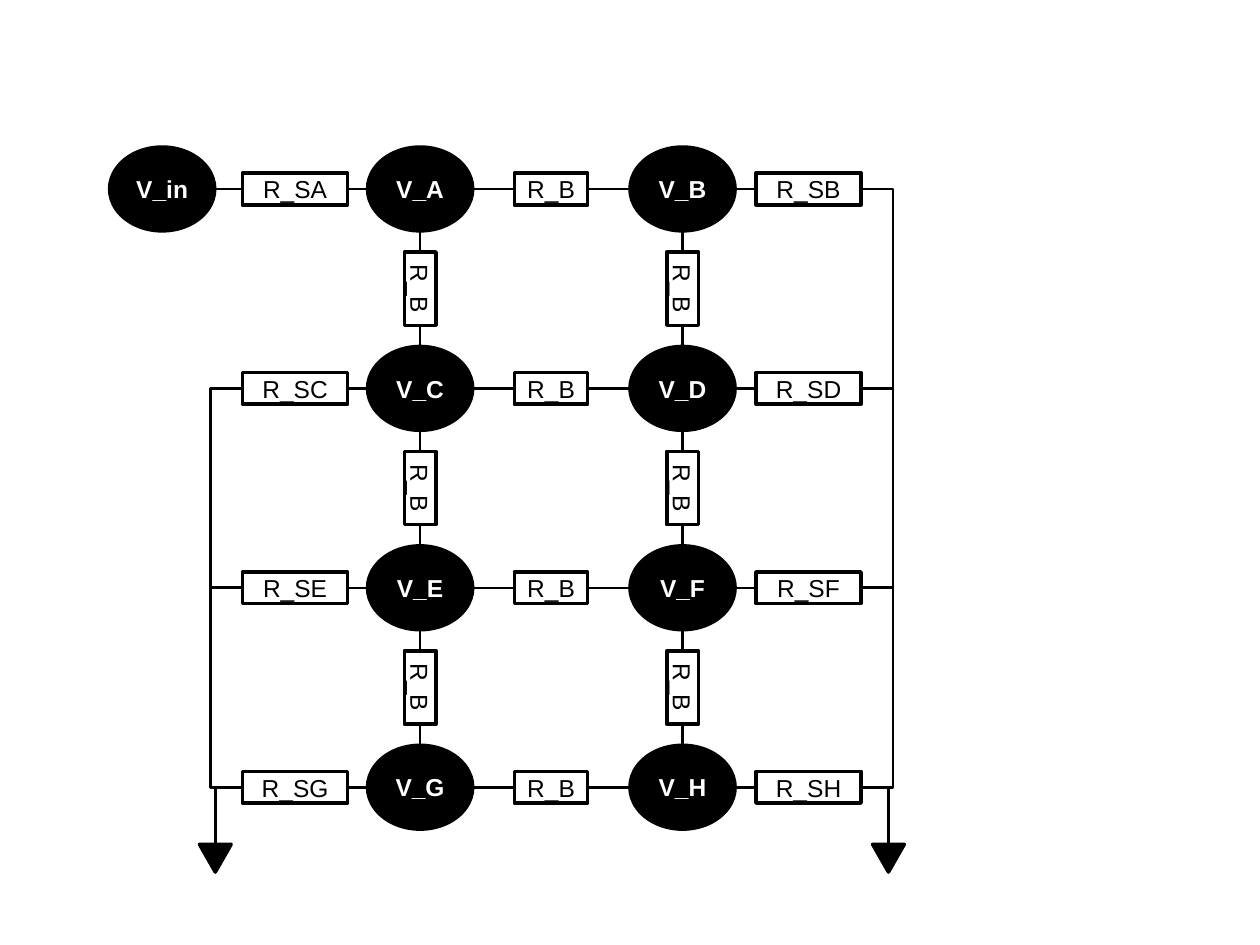
"""Build a slide with a resistor ladder network of eight voltage nodes."""
from itertools import pairwise

from lxml import etree
from pptx import Presentation
from pptx.dml.color import RGBColor
from pptx.enum.shapes import MSO_CONNECTOR, MSO_SHAPE
from pptx.enum.text import MSO_ANCHOR, PP_ALIGN
from pptx.oxml.ns import qn
from pptx.util import Cm, Pt

OVAL, RECTANGLE = MSO_SHAPE.OVAL, MSO_SHAPE.RECTANGLE
TRIANGLE = MSO_SHAPE.ISOSCELES_TRIANGLE
STRAIGHT, ELBOW = MSO_CONNECTOR.STRAIGHT, MSO_CONNECTOR.ELBOW
CENTER, MIDDLE = PP_ALIGN.CENTER, MSO_ANCHOR.MIDDLE
LEFT_SIDE, RIGHT_SIDE = 1, 3

COLORS = {"ink": "000000", "paper": "FFFFFF"}
FONT = "Arial"

SOURCE = "V_in"
BRIDGE = "R_B"
ROWS = [
    ("R_SA", "V_A", BRIDGE, "V_B", "R_SB"),
    ("R_SC", "V_C", BRIDGE, "V_D", "R_SD"),
    ("R_SE", "V_E", BRIDGE, "V_F", "R_SF"),
    ("R_SG", "V_G", BRIDGE, "V_H", "R_SH"),
]

SOURCE_X = 3.27
COLUMNS = (5.95, 8.47, 11.11, 13.76, 16.3)
NODE_COLUMNS = (COLUMNS[1], COLUMNS[3])
FIRST_ROW, ROW_STEP = 3.81, 4.02
ROW_CENTERS = [FIRST_ROW + index * ROW_STEP for index in range(len(ROWS))]
NODE_SIZE = (2.12, 1.69)
SIDE_SIZE = (2.12, 0.64)
BRIDGE_SIZE = (1.48, 0.64)
GROUND_SIZE = (0.64, 0.56)
GROUND_TOP = 17.02
GROUND_REACH = 0.55
BUS_REACH, BUS_SHIFT = 0.64, 0.04


def color(name):
    return RGBColor.from_string(COLORS[name])


def add_part(slide, kind, center, size, fill, text="", rotation=0):
    (x, y), (width, height) = center, size
    shape = slide.shapes.add_shape(
        kind, Cm(x - width / 2), Cm(y - height / 2), Cm(width), Cm(height))
    shape.shadow.inherit = False
    shape.rotation = rotation
    shape.fill.solid()
    shape.fill.fore_color.rgb = color(fill)
    shape.line.color.rgb = color("ink")
    shape.line.width = Pt(2)
    if text:
        frame = shape.text_frame
        frame.word_wrap = False
        frame.vertical_anchor = MIDDLE
        frame.margin_left = frame.margin_right = 0
        frame.margin_top = frame.margin_bottom = 0
        paragraph = frame.paragraphs[0]
        paragraph.text = text
        paragraph.alignment = CENTER
        paragraph.font.name = FONT
        paragraph.font.size = Pt(14)
        paragraph.font.bold = kind == OVAL
        paragraph.font.color.rgb = color("paper" if kind == OVAL else "ink")
    return shape


def add_node(slide, center, text):
    return add_part(slide, OVAL, center, NODE_SIZE, "ink", text)


def add_resistor(slide, center, text, rotation=0):
    size = BRIDGE_SIZE if text == BRIDGE else SIDE_SIZE
    return add_part(slide, RECTANGLE, center, size, "paper", text, rotation)


def add_wire(slide, kind, begin, end):
    wire = slide.shapes.add_connector(kind, *map(Cm, begin + end))
    wire.line.color.rgb = color("ink")
    wire.line.width = Pt(1.5)
    etree.SubElement(wire._element.spPr, qn("a:effectLst"))
    return wire, wire._element.spPr.find(qn("a:prstGeom"))


def add_row(slide, labels, y):
    parts = []
    for x, text in zip(COLUMNS, labels):
        add = add_node if text.startswith("V") else add_resistor
        parts.append((x, add(slide, (x, y), text)))
    if y == FIRST_ROW:
        parts.insert(0, (SOURCE_X, add_node(slide, (SOURCE_X, y), SOURCE)))
    for (left_x, left), (right_x, right) in pairwise(parts):
        begin = (left_x + left.width.cm / 2, y)
        end = (right_x - right.width.cm / 2, y)
        wire, _ = add_wire(slide, STRAIGHT, begin, end)
        if left.auto_shape_type == RECTANGLE:
            wire.begin_connect(left, RIGHT_SIDE)
        if right.auto_shape_type == RECTANGLE:
            wire.end_connect(right, LEFT_SIDE)


def add_column_link(slide, x, upper, lower):
    middle = (upper + lower) / 2
    half_node, half_resistor = NODE_SIZE[1] / 2, BRIDGE_SIZE[0] / 2
    add_resistor(slide, (x, middle), BRIDGE, rotation=90)
    add_wire(slide, STRAIGHT, (x, upper + half_node), (x, middle - half_resistor))
    add_wire(slide, STRAIGHT, (x, middle + half_resistor), (x, lower - half_node))


def add_bus(slide, x, direction, centers):
    for upper, lower in pairwise(centers):
        _, geometry = add_wire(
            slide, ELBOW, (x, upper), (x + direction * BUS_SHIFT, lower))
        adjustments = geometry.get_or_add_avLst()
        bend = round(BUS_REACH / BUS_SHIFT * 100000)
        etree.SubElement(adjustments, qn("a:gd"), name="adj1", fmla=f"val {bend}")
    ground_x = x + direction * GROUND_REACH
    add_part(slide, TRIANGLE, (ground_x, GROUND_TOP + GROUND_SIZE[1] / 2),
             GROUND_SIZE, "ink", rotation=180)
    _, geometry = add_wire(
        slide, ELBOW, (x, centers[-1]), (ground_x, GROUND_TOP))
    geometry.set("prst", "bentConnector2")


def main():
    presentation = Presentation()
    presentation.slide_width, presentation.slide_height = Cm(25.4), Cm(19.05)
    slide = presentation.slides.add_slide(presentation.slide_layouts[6])
    for labels, y in zip(ROWS, ROW_CENTERS):
        add_row(slide, labels, y)
    for x in NODE_COLUMNS:
        for upper, lower in pairwise(ROW_CENTERS):
            add_column_link(slide, x, upper, lower)
    half_side = SIDE_SIZE[0] / 2
    add_bus(slide, COLUMNS[0] - half_side, -1, ROW_CENTERS[1:])
    add_bus(slide, COLUMNS[-1] + half_side, 1, ROW_CENTERS)
    presentation.save("out.pptx")


if __name__ == "__main__":
    main()
